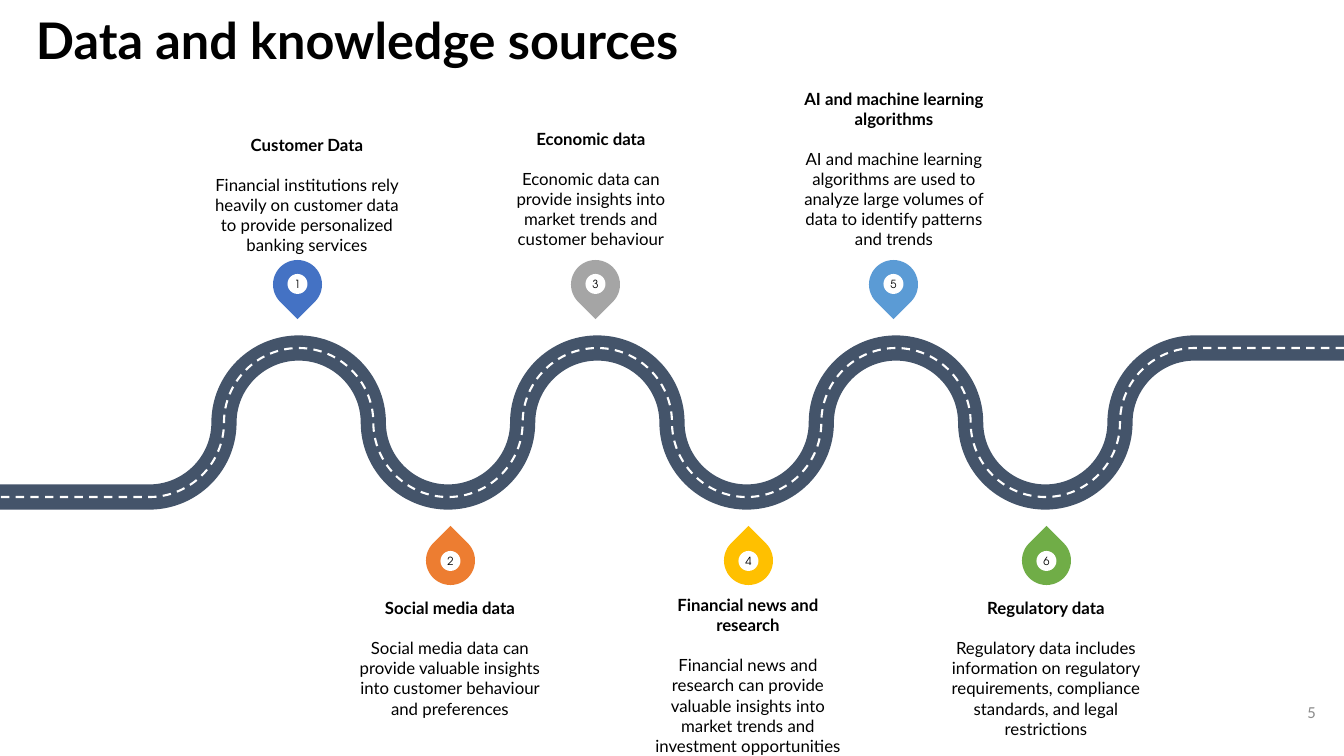
import lxml.etree
import pptx
import pptx.dml.color
import pptx.enum.dml
import pptx.enum.shapes
import pptx.enum.text
import pptx.oxml.ns
import pptx.util

PX = 914400 / 100.8
WIDTH, HEIGHT = 1344, 756
LANES = 9
ARC = 0.55
PIN, DOT = 49, 20
LABEL_W, LABEL_H = 190, 79
ALIGN = pptx.enum.text.PP_ALIGN
ANCHOR = pptx.enum.text.MSO_ANCHOR
SHAPE = pptx.enum.shapes.MSO_SHAPE

UPPER = [
    ("1", "4472C4", 273, 212, 255, "Customer Data",
     "Financial institutions rely heavily on customer data to provide "
     "personalized banking services"),
    ("3", "A5A5A5", 571, 496, 249, "Economic data",
     "Economic data can provide insights into market trends and "
     "customer behaviour"),
    ("5", "5B9BD5", 869, 799, 249, "AI and machine learning algorithms",
     "AI and machine learning algorithms are used to analyze large volumes "
     "of data to identify patterns and trends"),
]
LOWER = [
    ("2", "ED7D31", 426, 355, 598, "Social media data",
     "Social media data can provide valuable insights into customer "
     "behaviour and preferences"),
    ("4", "FFC000", 724, 653, 595, "Financial news and research",
     "Financial news and research can provide valuable insights into market "
     "trends and investment opportunities"),
    ("6", "70AD47", 1022, 951, 598, "Regulatory data",
     "Regulatory data includes information on regulatory requirements, "
     "compliance standards, and legal restrictions"),
]


def px(n):
    """Turn pixels into EMU."""
    return pptx.util.Emu(round(n * PX))


def rgb(code):
    """Turn a hex string into a colour."""
    return pptx.dml.color.RGBColor.from_string(code)


def style(p, size, font="Lato", color="000000", bold=False, align=ALIGN.CENTER):
    """Set the font and alignment of a paragraph."""
    p.alignment = align
    p.font.size = pptx.util.Pt(size)
    p.font.name = font
    p.font.bold = bold
    p.font.color.rgb = rgb(color)


def frame(sp, anchor):
    """Prepare a text frame without insets."""
    tf = sp.text_frame
    tf.word_wrap = True
    tf.vertical_anchor = anchor
    tf.margin_left = tf.margin_right = tf.margin_top = tf.margin_bottom = 0
    return tf


def textbox(s, x, y, w, h, anchor=ANCHOR.MIDDLE):
    """Add a text box and return its frame."""
    return frame(s.shapes.add_textbox(px(x), px(y), px(w), px(h)), anchor)


def solid(shapes, kind, x, y, size, color):
    """Add a filled preset shape without outline."""
    sp = shapes.add_shape(kind, px(x), px(y), px(size), px(size))
    sp.shadow.inherit = False
    sp.fill.solid()
    sp.fill.fore_color.rgb = rgb(color)
    sp.line.fill.background()
    return sp


def title(s, x, y, w, h):
    """Add the slide title."""
    p = textbox(s, x, y, w, h).paragraphs[0]
    p.text = "Data and knowledge sources"
    p.line_spacing = 0.9
    style(p, 36, bold=True, align=ALIGN.LEFT)


def slide_number(s, x, y, w, h):
    """Add the slide number."""
    p = textbox(s, x, y, w, h).paragraphs[0]
    p.text = "5"
    style(p, 12, "Calibri", "8C8C8C", align=ALIGN.RIGHT)


def round_bends(sp):
    """Turn all segments but the first and last into quarter arcs."""
    qn = pptx.oxml.ns.qn
    points = list(sp._element.iter(qn("a:pt")))
    ends = [(int(pt.get("x")), int(pt.get("y"))) for pt in points]
    for i in range(2, len(points) - 1):
        (x0, y0), (x1, y1) = ends[i - 1:i + 1]
        if i % 2 == 0:
            controls = (x0 + (x1 - x0) * ARC, y0), (x1, y1 + (y0 - y1) * ARC)
        else:
            controls = (x0, y0 + (y1 - y0) * ARC), (x1 + (x0 - x1) * ARC, y1)
        line = points[i].getparent()
        curve = lxml.etree.Element(qn("a:cubicBezTo"))
        for x, y in (*controls, (x1, y1)):
            lxml.etree.SubElement(curve, qn("a:pt"), x=str(round(x)), y=str(round(y)))
        line.getparent().replace(line, curve)


def road(s, x, y, w, h):
    """Draw the winding road and its dashed centre line."""
    lane = w / LANES
    levels = (y, y + h / 2, y + h, y + h / 2)
    bends = [(x + w - lane * (1 + i / 2), levels[i % 4])
             for i in range(2 * LANES - 3)]
    start, *rest = [(px(a), px(b)) for a, b in ((x + w, y), *bends, (x, y + h))]
    for color, width, dash in (("44546A", 18, None),
                               ("FFFFFF", 1.5, pptx.enum.dml.MSO_LINE.DASH)):
        builder = s.shapes.build_freeform(*start)
        builder.add_line_segments(rest, close=False)
        sp = builder.convert_to_shape()
        round_bends(sp)
        sp.shadow.inherit = False
        sp.fill.background()
        sp.line.color.rgb = rgb(color)
        sp.line.width = pptx.util.Pt(width)
        sp.line.dash_style = dash


def pin(s, x, y, number, color, rotation, dot_y):
    """Add a numbered map pin."""
    shapes = s.shapes.add_group_shape().shapes
    solid(shapes, SHAPE.TEAR, x, y, PIN, color).rotation = rotation
    dot = solid(shapes, SHAPE.OVAL, x + (PIN - DOT) / 2, y + dot_y, DOT, "FFFFFF")
    p = frame(dot, ANCHOR.MIDDLE).paragraphs[0]
    p.text = number
    style(p, 8, "TeX Gyre Adventor")


def label(s, x, y, heading, body, anchor):
    """Add a bold heading with its description."""
    tf = textbox(s, x, y, LABEL_W, LABEL_H, anchor)
    p = tf.paragraphs[0]
    p.text = heading
    p.space_after = pptx.util.Pt(14)
    style(p, 12, bold=True)
    p = tf.add_paragraph()
    p.text = body
    style(p, 12)


def main():
    """Build the slide and save it."""
    prs = pptx.Presentation()
    prs.slide_width, prs.slide_height = px(WIDTH), px(HEIGHT)
    s = prs.slides.add_slide(prs.slide_layouts[6])
    title(s, 36, 16, 932, 54)
    slide_number(s, 1235, 690, 81, 44)
    road(s, 0, 348, WIDTH, 149)
    for number, color, pin_x, x, bottom, heading, body in UPPER:
        pin(s, pin_x, 260, number, color, 135, 14)
        label(s, x, bottom - LABEL_H, heading, body, ANCHOR.BOTTOM)
    for number, color, pin_x, x, top, heading, body in LOWER:
        pin(s, pin_x, 536, number, color, 315, 15)
        label(s, x, top, heading, body, ANCHOR.TOP)
    prs.save("out.pptx")


if __name__ == "__main__":
    main()
